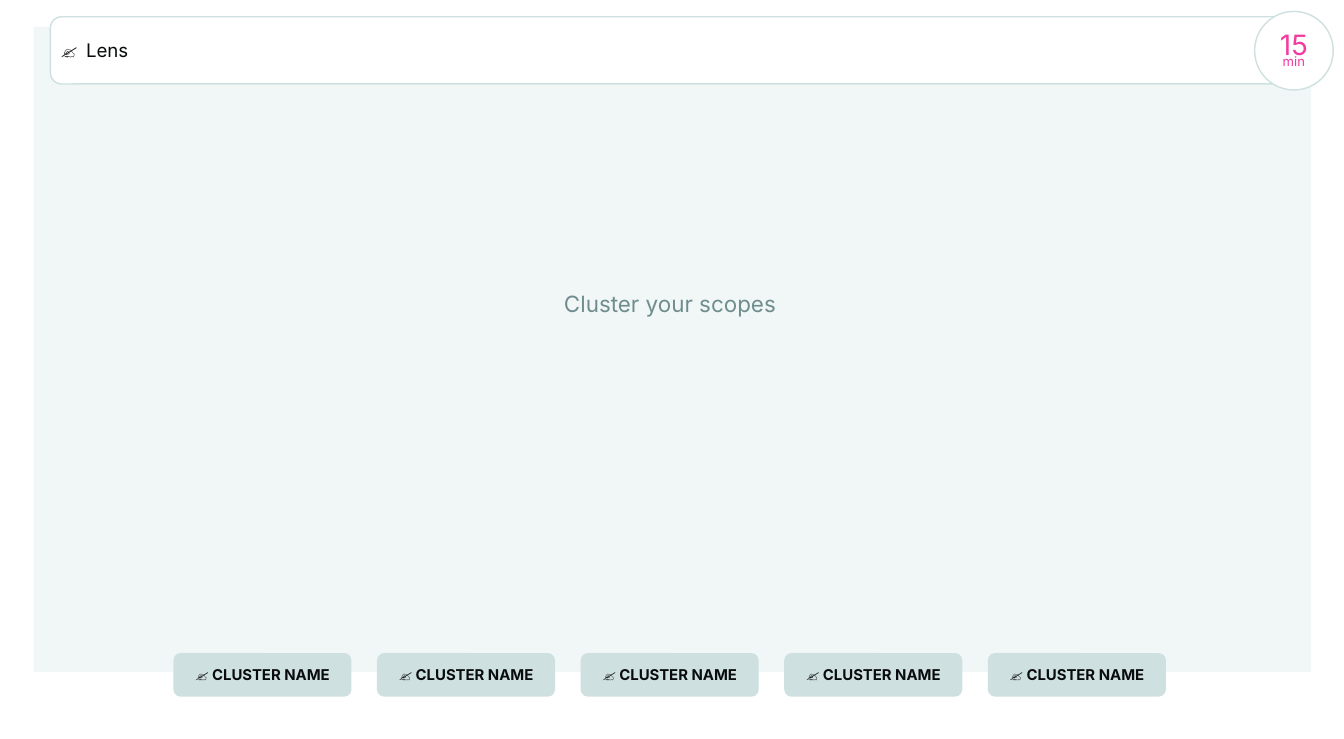
"""Build the scope-clustering board: a header, a timer and a row of cluster labels."""
from pptx import Presentation
from pptx.dml.color import RGBColor
from pptx.enum.shapes import MSO_SHAPE as Shape
from pptx.enum.text import MSO_ANCHOR as Anchor, MSO_AUTO_SIZE as AutoSize, PP_ALIGN as Align
from pptx.oxml import parse_xml
from pptx.oxml.ns import nsdecls
from pptx.util import Inches, Pt

HEADER = "✍️\tLens"
PROMPT = "Cluster your scopes"
CLUSTERS = ["✍️ CLUSTER NAME"] * 5
TIMER = [("15", 30), ("min", 14)]

WIDTH, HEIGHT = 20, 11
BOARD = (0.5, 0.4, 19.01, 9.6)
PROMPT_AREA = (5.09, 4.25, 9.76, 0.54)
BAR = (0.75, 0.25, 18.5, 1)
HEADER_AREA = (0.9, 0.25, 17, 1)
HEADER_TAB = 0.38
CIRCLE = (18.67, 0.17, 1.17, 1.17)
FIRST_CLUSTER = (2.58, 9.72, 2.65, 0.65)
CLUSTER_PITCH = 3.03
CORNER = 0.167

INK, TEAL, PINK = "090B0C", "6F8D8E", "F439A0"
PALE, MIST, WHITE = "F1F7F7", "CFE0E0", "FFFFFF"


def color(value):
    return RGBColor.from_string(value)


def lengths(area):
    return [Inches(value) for value in area]


def set_values(target, values):
    for name, value in values.items():
        setattr(target, name, value)


def add_panel(page, kind, area, fill, outline=None):
    panel = page.shapes.add_shape(kind, *lengths(area))
    panel.shadow.inherit = False
    panel.fill.solid()
    panel.fill.fore_color.rgb = color(fill)
    if kind == Shape.ROUNDED_RECTANGLE:
        panel.adjustments[0] = CORNER
    if outline:
        panel.line.color.rgb = color(outline)
        panel.line.width = Pt(1.5)
    else:
        panel.line.fill.background()
    return panel


def write(box, lines, ink, bold=False, align=Align.CENTER, inset=0.1, spacing=None):
    frame = box.text_frame
    margins = ("margin_left", "margin_top", "margin_right", "margin_bottom")
    set_values(frame, dict.fromkeys(margins, Inches(inset)))
    set_values(frame, {"word_wrap": True, "auto_size": AutoSize.NONE,
                       "vertical_anchor": Anchor.MIDDLE})
    for index, (text, size) in enumerate(lines):
        para = frame.add_paragraph() if index else frame.paragraphs[0]
        set_values(para, {"alignment": align, "line_spacing": spacing})
        span = para.add_run()
        span.text = text
        set_values(span.font, {"name": "Inter", "size": Pt(size), "bold": bold})
        span.font.color.rgb = color(ink)
    return frame


def add_header(page):
    add_panel(page, Shape.ROUNDED_RECTANGLE, BAR, WHITE, MIST)
    title = page.shapes.title
    set_values(title, dict(zip(("left", "top", "width", "height"), lengths(HEADER_AREA))))
    page.shapes.element.append(title.element)
    frame = write(title, [(HEADER, 20)], INK, align=Align.LEFT, inset=0)
    tabs = f'<a:tabLst {nsdecls("a")}><a:tab pos="{Inches(HEADER_TAB)}" algn="l"/></a:tabLst>'
    frame.paragraphs[0].alignment = Align.LEFT
    frame.paragraphs[0]._p.get_or_add_pPr().append(parse_xml(tabs))


def main():
    deck = Presentation()
    set_values(deck, {"slide_width": Inches(WIDTH), "slide_height": Inches(HEIGHT)})
    page = deck.slides.add_slide(deck.slide_layouts.get_by_name("Title Only"))

    add_panel(page, Shape.RECTANGLE, BOARD, PALE)
    prompt = page.shapes.add_textbox(*lengths(PROMPT_AREA))
    write(prompt, [(PROMPT, 24)], TEAL)

    left, top, width, height = FIRST_CLUSTER
    for column, name in enumerate(CLUSTERS):
        area = (left + column * CLUSTER_PITCH, top, width, height)
        label = add_panel(page, Shape.ROUNDED_RECTANGLE, area, MIST)
        write(label, [(name, 16)], INK, bold=True)

    add_header(page)
    circle = add_panel(page, Shape.OVAL, CIRCLE, WHITE, MIST)
    write(circle, TIMER, PINK, spacing=0.6).margin_top = Inches(0.2)
    deck.save("out.pptx")


if __name__ == "__main__":
    main()
